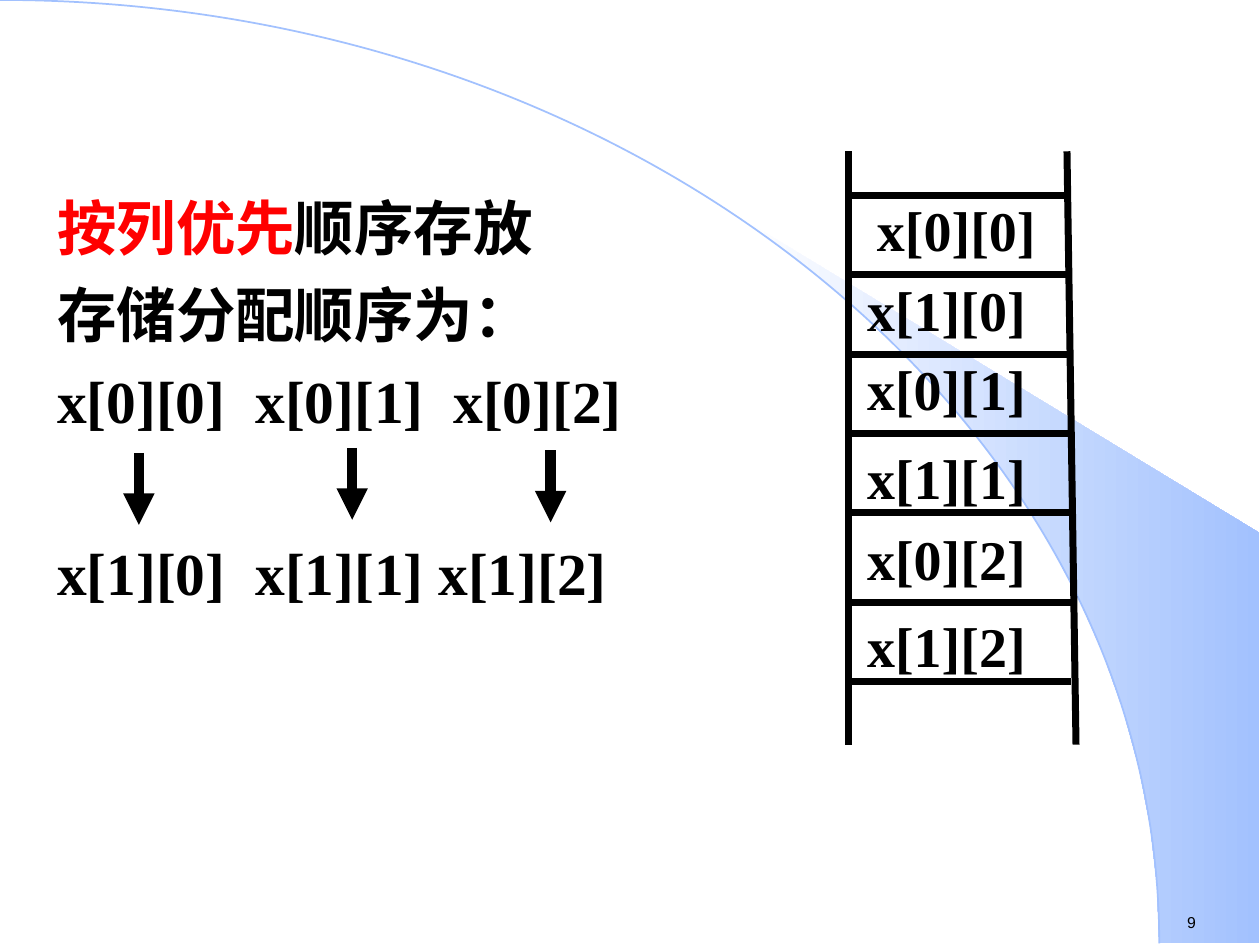
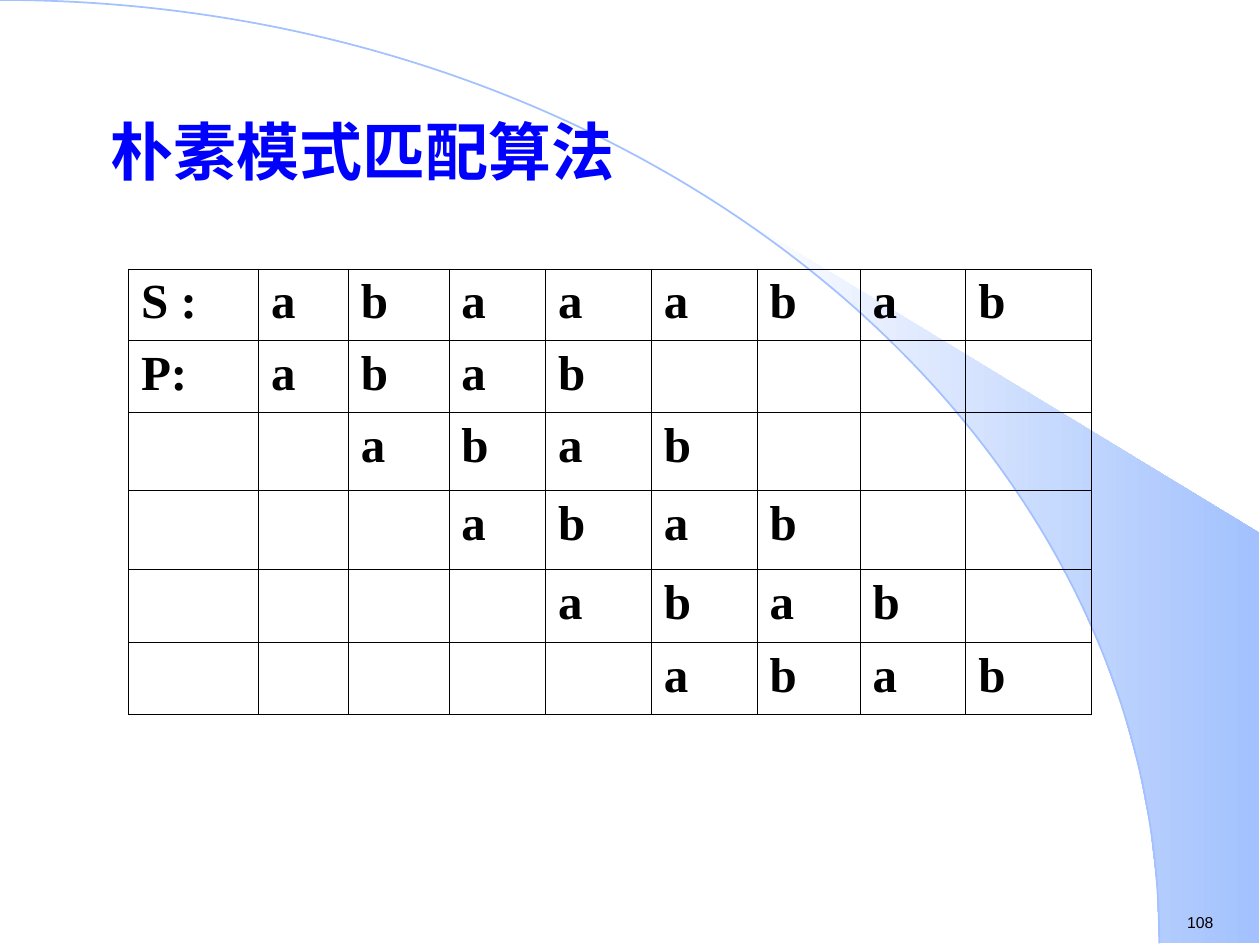
from math import asin, cos, pi, sin

from lxml.etree import SubElement
from pptx import Presentation
from pptx.dml.color import RGBColor as Rgb
from pptx.enum.shapes import MSO_CONNECTOR as Connector
from pptx.enum.text import MSO_ANCHOR as Anchor
from pptx.enum.text import MSO_AUTO_SIZE as AutoSize
from pptx.enum.text import PP_ALIGN as Align
from pptx.oxml.ns import qn
from pptx.util import Cm, Pt

COLORS = {
    "ink": "000000",
    "highlight": "FF0000",
    "title": "0000FF",
    "paper": "FFFFFF",
    "sweep": "A2C1FE",
}
SERIF = "Times New Roman"
SANS = "Arial"
ARC_WIDTH, ARC_HEIGHT = 23.37, 19.02
ARC_PULL = 0.55
BAND_TOP_X, BAND_RIGHT, BAND_RIGHT_Y = 14.96, 25.38, 10.74
RAIL_LEFT, RAIL_RIGHT = 17.1, 21.51


def color(name):
    return Rgb.from_string(COLORS[name])


def place(shape, left, top, width, height):
    shape.left, shape.top = Cm(left), Cm(top)
    shape.width, shape.height = Cm(width), Cm(height)


def add_span(para, text, size=34, ink="ink", font=SERIF, bold=True, spacing=0):
    span = para.add_run()
    span.text = text
    span.font.size = Pt(size)
    span.font.bold = bold
    span.font.color.rgb = color(ink)
    span.font.name = font
    SubElement(span.font._element, qn("a:ea"), typeface=SANS)
    if spacing:
        span.font._element.set("spc", str(int(spacing * 100)))


def add_label(page, text, left, top, width, height, inset=0, **style):
    box = page.shapes.add_textbox(Cm(left), Cm(top), Cm(width), Cm(height))
    frame = box.text_frame
    frame.word_wrap = True
    frame.margin_left = frame.margin_right = Cm(2 * inset)
    frame.margin_top = frame.margin_bottom = Cm(inset)
    add_span(frame.paragraphs[0], text, **style)


def add_line(page, x1, y1, x2, y2, width=4, arrow=False):
    line = page.shapes.add_connector(Connector.STRAIGHT, Cm(x1), Cm(y1), Cm(x2), Cm(y2))
    line.line.color.rgb = color("ink")
    line.line.width = Pt(width)
    outline = line.line._get_or_add_ln()
    if arrow:
        SubElement(outline, qn("a:tailEnd"), type="triangle")
    else:
        outline.set("cap", "sq")
    SubElement(line.element.spPr, qn("a:effectLst"))


def add_outline(page, points, close):
    points = [(Cm(x), Cm(y)) for x, y in points]
    builder = page.shapes.build_freeform(*points[0])
    builder.add_line_segments(points[1:], close=close)
    shape = builder.convert_to_shape()
    shape.shadow.inherit = False
    return shape


def band_points(steps=14):
    start = asin(BAND_TOP_X / ARC_WIDTH)
    angles = [start + (pi / 2 - start) * step / steps for step in range(steps + 1)]
    edge = [(ARC_WIDTH * sin(angle), ARC_HEIGHT * (1 - cos(angle))) for angle in angles]
    return edge + [(BAND_RIGHT, ARC_HEIGHT), (BAND_RIGHT, BAND_RIGHT_Y)]


def bend_to_arc(shape):
    segment = next(shape.element.iter(qn("a:lnTo")))
    curve = segment.makeelement(qn("a:cubicBezTo"), {})
    controls = ((ARC_WIDTH * ARC_PULL, 0),
                (ARC_WIDTH, ARC_HEIGHT * (1 - ARC_PULL)),
                (ARC_WIDTH, ARC_HEIGHT))
    for x, y in controls:
        SubElement(curve, qn("a:pt"), x=str(Cm(x)), y=str(Cm(y)))
    segment.getparent().replace(segment, curve)


def add_backdrop(page):
    band = add_outline(page, band_points(), close=True)
    band.fill.gradient()
    band.fill.gradient_angle = 0
    for stop, name in zip(band.fill.gradient_stops, ("paper", "sweep")):
        stop.color.rgb = color(name)
    band.line.fill.background()

    arc = add_outline(page, [(0, 0), (ARC_WIDTH, ARC_HEIGHT)], close=False)
    bend_to_arc(arc)
    arc.fill.background()
    arc.line.color.rgb = color("sweep")
    arc.line.width = Pt(1)

    for index, shape in enumerate((band, arc)):
        page.shapes.element.insert(2 + index, shape.element)


def new_page(deck, layout, number):
    page = deck.slides.add_slide(deck.slide_layouts[layout])
    add_backdrop(page)
    add_label(page, number, 23.67, 18.28, 1.6, 0.64, inset=0.13,
              size=9, font=SANS, bold=False)
    return page


def add_list_line(frame, spans, space=0):
    para = frame.paragraphs[0] if not frame.paragraphs[0].runs else frame.add_paragraph()
    props = para._p.get_or_add_pPr()
    props.set("marL", "0")
    props.set("indent", "0")
    SubElement(props, qn("a:buNone"))
    para.space_before = Pt(space)
    for text, style in spans:
        add_span(para, text, **style)


def add_storage_column(page):
    for step in range(7):
        y = 3.94 + 1.6 * step + (0.2 if step > 4 else 0)
        add_line(page, RAIL_LEFT, y, RAIL_RIGHT, y)
    add_line(page, RAIL_LEFT, 3.12, RAIL_LEFT, 14.94)
    add_line(page, RAIL_RIGHT, 3.12, RAIL_RIGHT + 0.18, 14.94)

    tops = (3.94, 5.56, 7.14, 8.94, 10.57, 12.32)
    for index, top in enumerate(tops):
        column, row = divmod(index, 2)
        left = 17.68 if index == 0 else 17.48
        add_label(page, f"x[{row}][{column}]", left, top, 3.45, 1.35, size=32)


def build_storage_page(deck):
    page = new_page(deck, 1, "9")
    title = page.shapes.title.element
    title.getparent().remove(title)
    body = page.placeholders[1]
    place(body, 0.9, 3.73, 16, 11.8)
    frame = body.text_frame
    frame.auto_size = AutoSize.NONE
    add_list_line(frame, [("按列优先", {"ink": "highlight"}), ("顺序存放", {})])
    add_list_line(frame, [("存储分配顺序为：", {})], space=8.5)
    for row, space, gaps in ((0, 8.5, (8.5, 8.5)), (1, 57.5, (8.5, 0))):
        spans = [(f"x[{row}][0]", {})]
        for column, gap in enumerate(gaps, 1):
            spans += [(" ", {"spacing": gap}), (f"x[{row}][{column}]", {})]
        add_list_line(frame, spans, space=space)
    add_storage_column(page)
    for x, y in ((2.8, 9.13), (7.1, 9.03), (11.1, 9.08)):
        add_line(page, x, y, x, y + 1.45, width=6, arrow=True)


def style_cell(cell):
    cell.fill.background()
    props = cell._tc.get_or_add_tcPr()
    for index, side in enumerate(("lnL", "lnR", "lnT", "lnB")):
        border = props.makeelement(qn(f"a:{side}"), {"w": str(Pt(0.45))})
        fill = SubElement(border, qn("a:solidFill"))
        SubElement(fill, qn("a:srgbClr"), val=COLORS["ink"])
        props.insert(index, border)


def add_match_table(page, text, pattern):
    widths = (2.62, 1.81, 2.03, 1.95, 2.13, 2.13, 2.08, 2.13, 2.54)
    heights = (1.45, 1.45, 1.57, 1.59, 1.47, 1.45)
    rows = [["S :", *text]]
    for shift in range(len(text) - len(pattern) + 1):
        label = "" if shift else "P:"
        tail = len(text) - len(pattern) - shift
        rows.append([label, *[""] * shift, *pattern, *[""] * tail])

    table = page.shapes.add_table(len(rows), len(widths), Cm(2.59), Cm(5.42),
                                  Cm(sum(widths)), Cm(sum(heights))).table
    table.first_row = table.horz_banding = False
    for column, width in zip(table.columns, widths):
        column.width = Cm(width)
    for line, height, values in zip(table.rows, heights, rows):
        line.height = Cm(height)
        for cell, value in zip(line.cells, values):
            style_cell(cell)
            if value:
                add_span(cell.text_frame.paragraphs[0], value, size=28)


def build_matching_page(deck):
    page = new_page(deck, 5, "108")
    title = page.shapes.title
    place(title, 1.98, 2.13, 14.33, 1.78)
    frame = title.text_frame
    frame.auto_size = AutoSize.NONE
    frame.vertical_anchor = Anchor.MIDDLE
    para = frame.paragraphs[0]
    para.alignment = Align.LEFT
    add_span(para, "朴素模式匹配算法", size=36, ink="title")
    add_match_table(page, "abaaabab", "abab")


def main():
    deck = Presentation()
    deck.slide_width, deck.slide_height = Cm(25.4), Cm(19.05)
    build_storage_page(deck)
    build_matching_page(deck)
    deck.save("out.pptx")


if __name__ == "__main__":
    main()
